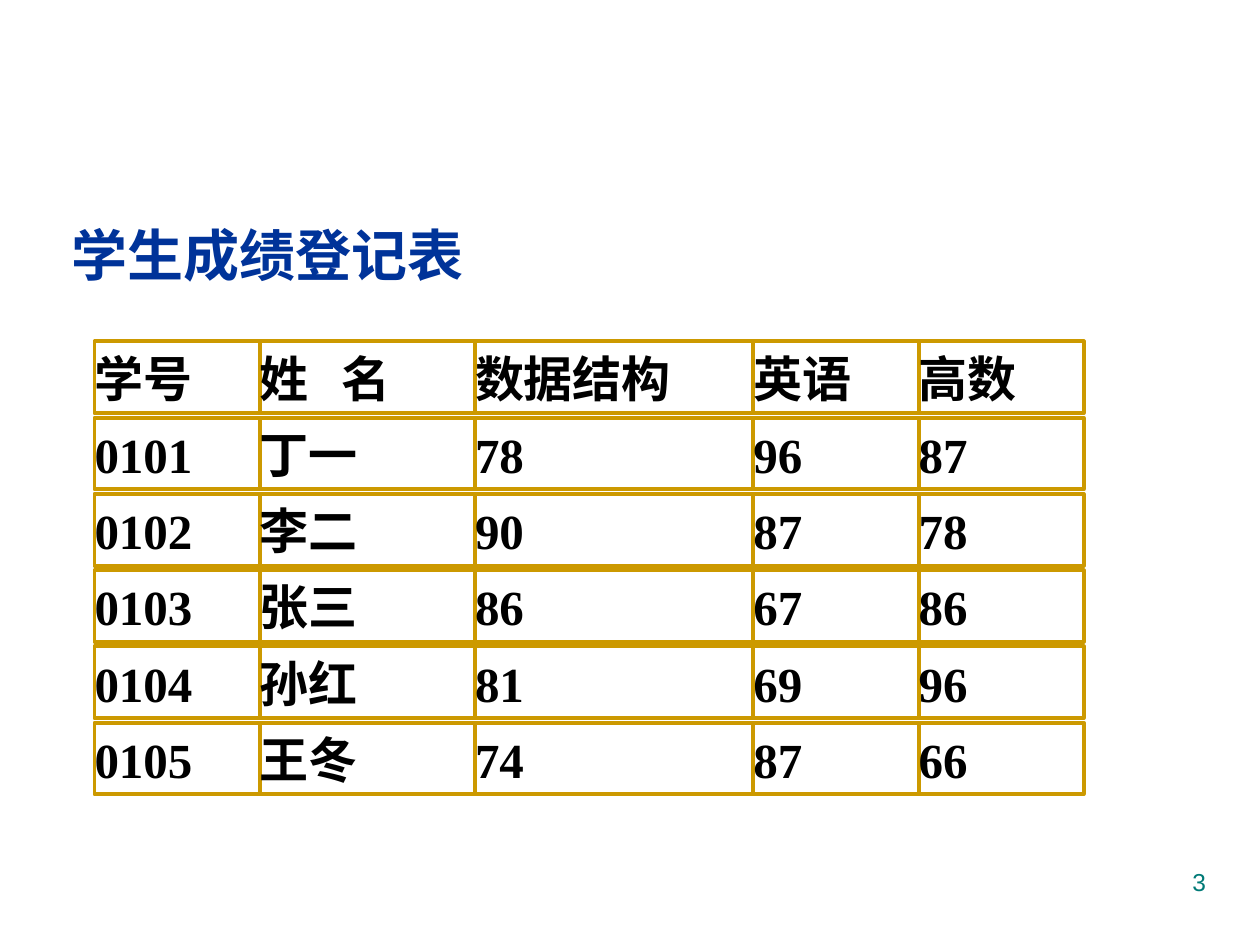
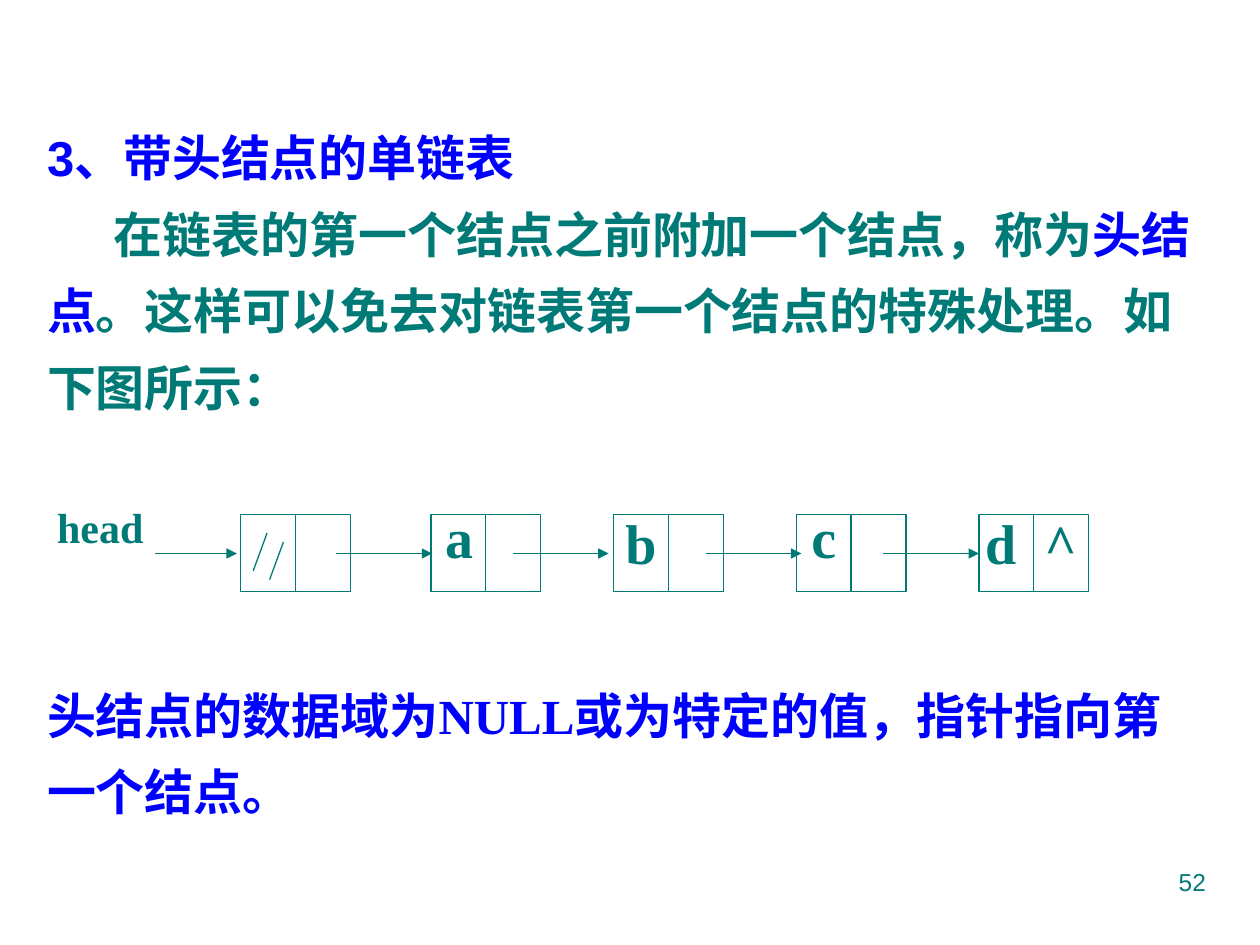
from dataclasses import dataclass

from lxml.etree import SubElement
from pptx import Presentation
from pptx.dml.color import RGBColor as RGB
from pptx.enum.shapes import MSO_CONNECTOR as CONN, MSO_SHAPE as SHAPE
from pptx.enum.text import MSO_ANCHOR as ANCHOR, PP_ALIGN as ALIGN
from pptx.oxml.ns import qn
from pptx.util import Inches, Pt


@dataclass(frozen=True)
class Theme:
    sans: str = "Arial"
    serif: str = "Times New Roman"
    navy: RGB = RGB(0x00, 0x33, 0x99)
    blue: RGB = RGB(0x00, 0x00, 0xFF)
    teal: RGB = RGB(0x00, 0x7A, 0x77)
    gold: RGB = RGB(0xCC, 0x99, 0x00)
    black: RGB = RGB(0x00, 0x00, 0x00)
    title: int = 32
    body: int = 28
    label: int = 24
    footer: int = 14
    node_line: float = 0.75
    cell_line: float = 2.25


T = Theme()
prs = Presentation()
prs.slide_width, prs.slide_height = Inches(10), Inches(7.5)
COL, ROW = prs.slide_width / 100, prs.slide_height / 75


def write(tf, text, font, size, color, bold=True, tab=None):
    """Fill the first paragraph of a frame; tab is its tab stop in columns."""
    tf.word_wrap = True
    p = tf.paragraphs[0]
    if tab:
        tabs = SubElement(p._p.get_or_add_pPr(), qn("a:tabLst"))
        SubElement(tabs, qn("a:tab"), pos=str(int(tab * COL)), algn="l")
    p.font.name, p.font.size, p.font.bold = font, Pt(size), bold
    p.font.color.rgb = color
    p.alignment = ALIGN.LEFT
    p.add_run().text = text
    return p


def place(s, x, y, w, h, outline=None, width=None):
    """Place a text box on the grid, or an unfilled rectangle if an outline colour is given."""
    box = [int(v) for v in (x * COL, y * ROW, w * COL, h * ROW)]
    if outline is None:
        return s.shapes.add_textbox(*box).text_frame
    sp = s.shapes.add_shape(SHAPE.RECTANGLE, *box)
    sp.shadow.inherit = False
    sp.fill.background()
    sp.line.color.rgb, sp.line.width = outline, Pt(width)
    return sp.text_frame


scores, linked_list = [prs.slides.add_slide(prs.slide_layouts[6]) for _ in range(2)]
for s, number in ((scores, "3"), (linked_list, "52")):
    p = write(place(s, 71.7, 68.3, 25, 5.2), number, T.sans, T.footer, T.teal, bold=False)
    p.alignment = ALIGN.RIGHT

# Student score sheet: rows of boxes with a narrow gap between rows
write(place(scores, 4.7, 17, 37.4, 6.4), "学生成绩登记表", T.sans, T.title, T.navy)

records = [
    ("学号", "姓\t名", "数据结构", "英语", "高数"),
    ("0101", "丁一", "78", "96", "87"),
    ("0102", "李二", "90", "87", "78"),
    ("0103", "张三", "86", "67", "86"),
    ("0104", "孙红", "81", "69", "96"),
    ("0105", "王冬", "74", "87", "66"),
]
widths = (13.1, 17.1, 22.1, 13.1, 13.1)
cell_height, row_pitch = 5.7, 6.05
for i, record in enumerate(records):
    for j, value in enumerate(record):
        tf = place(scores, 7.5 + sum(widths[:j]), 27.1 + i * row_pitch,
                   widths[j], cell_height, T.gold, T.cell_line)
        tf.margin_left = tf.margin_right = 0
        tf.vertical_anchor = ANCHOR.BOTTOM
        write(tf, value, T.serif, T.body, T.black, tab=6.5 if "\t" in value else None)

# Singly linked list with a head node
tf = place(linked_list, 2.75, 8.25, 93.7, 25.3)
write(tf, "3、带头结点的单链表", T.sans, T.body, T.blue).line_spacing = 1.3
p = tf.add_paragraph()
p.line_spacing = 1.3
p._p.get_or_add_pPr().set("indent", str(int(5.3 * COL)))
p.font.name, p.font.size, p.font.bold = T.sans, Pt(T.body), True
for text, color in (("在链表的第一个结点之前附加一个结点，称为", T.teal),
                    ("头结点", T.blue),
                    ("。这样可以免去对链表第一个结点的特殊处理。如下图所示：", T.teal)):
    r = p.add_run()
    r.text, r.font.color.rgb = text, color

write(place(linked_list, 3.55, 39.3, 10.1, 9.1), "head", T.serif, T.label, T.teal)
for x, y, w, text in ((34.35, 39.7, 5.5, "a"), (48.65, 40.2, 5.5, "b"),
                      (63.4, 39.7, 5.5, "c"), (77.2, 40.2, 18.4, "d\t^")):
    p = write(place(linked_list, x, y, w, 9.1), text, T.serif, T.title, T.teal,
              tab=4.7 if "\t" in text else None)
    p.line_spacing = 0.96

node_top, node_width, node_height = 40.85, 8.7, 6.1
segments = [(21.2, 42.3, 20.1, 45.3, False), (22.5, 43, 21.4, 46, False)]
for x in [19.1] + [34.2 + 14.5 * i for i in range(4)]:
    place(linked_list, x, node_top, node_width, node_height, T.teal, T.node_line)
    middle = x + node_width / 2
    segments.append((middle, node_top, middle, node_top + node_height, False))
for start, end in ((12.3, 18.8), (26.7, 34.3), (40.7, 48.3), (56, 63.6), (70.1, 77.7)):
    segments.append((start, 43.93, end, 43.93, True))
for x1, y1, x2, y2, arrow in segments:
    c = linked_list.shapes.add_connector(CONN.STRAIGHT, int(x1 * COL), int(y1 * ROW),
                                         int(x2 * COL), int(y2 * ROW))
    c.line.color.rgb, c.line.width = T.teal, Pt(T.node_line)
    if arrow:
        SubElement(c.line._get_or_add_ln(), qn("a:tailEnd"), type="triangle")
    SubElement(c._element.spPr, qn("a:effectLst"))

p = write(place(linked_list, 2.75, 52.5, 92.9, 13.2),
          "头结点的数据域为NULL或为特定的值，指针指向第一个结点。", T.serif, T.body, T.blue)
p.line_spacing = 1.3

prs.save("out.pptx")
